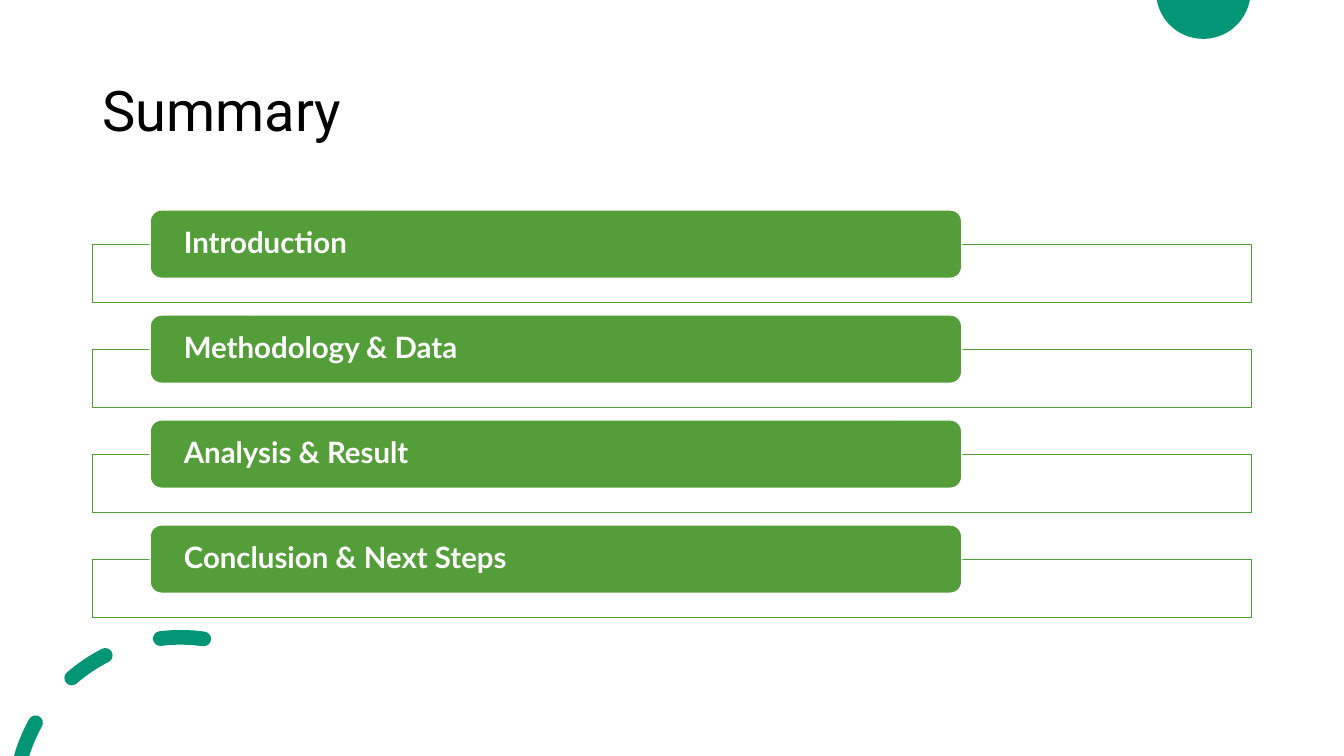
import math

import pptx
import pptx.dml.color
import pptx.enum.shapes
import pptx.enum.text
import pptx.oxml
import pptx.oxml.ns
import pptx.util

TITLE = "Summary"
SECTIONS = ["Introduction", "Methodology & Data", "Analysis & Result", "Conclusion & Next Steps"]

COLORS = {"teal": "029676", "green": "549E39", "white": "FFFFFF", "black": "000000"}
PX = 9525
WIDTH, HEIGHT = 1280, 720

TITLE_BOX = (88, 38, 1104, 139)
FRAME_BOX = (88, 233, 1104, 55)
BAR_BOX = (143, 200, 773, 65)
ROW_PITCH = 100
BAR_INSET = 29

CIRCLE = {"center": (1146, -8), "radius": 45}
RING = {"center": (172, 765), "radius": 158, "half_width": 7}
CUT_DASH_END = 209
DASHES = [(229, 243), (263, 278)]


def px(value):
    return pptx.util.Emu(round(value * PX))


def rgb(name):
    return pptx.dml.color.RGBColor.from_string(COLORS[name])


def polar(center, radius, degrees):
    angle = math.radians(degrees)
    return center[0] + radius * math.cos(angle), center[1] + radius * math.sin(angle)


def arc(center, radius, start, end):
    step = (end - start) / 2
    handle = 4 / 3 * math.tan(math.radians(step) / 4) * radius
    curves = []
    for first in (start, start + step):
        begin, finish = polar(center, radius, first), polar(center, radius, first + step)
        curves.append((begin, polar(begin, handle, first + 90),
                       polar(finish, -handle, first + step + 90), finish))
    return curves


def crossing(center, radius, edge):
    return math.degrees(math.asin((edge - center[1]) / radius))


def dash_outline(end, start=None):
    center, radius, half = RING["center"], RING["radius"], RING["half_width"]
    outer, inner = radius + half, radius - half
    outer_start = inner_start = start
    if start is None:
        outer_start = 180 - crossing(center, outer, HEIGHT)
        inner_start = 180 - crossing(center, inner, HEIGHT)
    curves = arc(center, outer, outer_start, end)
    curves += arc(polar(center, radius, end), half, end, end + 180)
    curves += arc(center, inner, end, inner_start)
    if start is not None:
        curves += arc(polar(center, radius, start), half, start + 180, start + 360)
    return curves


def add_outline(slide, contours, color):
    builder = None
    for curves in contours:
        x, y = map(px, curves[0][0])
        if builder is None:
            builder = slide.shapes.build_freeform(x, y, scale=1.0)
        else:
            builder.move_to(x, y)
        builder.add_line_segments([tuple(map(px, curve[3])) for curve in curves], close=True)
    shape = builder.convert_to_shape()
    lines = list(shape._element.iter(pptx.oxml.ns.qn("a:lnTo")))
    for line, curve in zip(lines, [curve for curves in contours for curve in curves]):
        points = "".join(f'<a:pt x="{px(x) - shape.left}" y="{px(y) - shape.top}"/>'
                         for x, y in curve[1:])
        bend = pptx.oxml.parse_xml(
            f'<a:cubicBezTo {pptx.oxml.ns.nsdecls("a")}>{points}</a:cubicBezTo>')
        line.getparent().replace(line, bend)
    shape.shadow.inherit = False
    shape.fill.solid()
    shape.fill.fore_color.rgb = rgb(color)
    shape.line.fill.background()


def add_box(slide, kind, box, row, fill, line):
    left, top, width, height = box
    shape = slide.shapes.add_shape(kind, px(left), px(top + row * ROW_PITCH), px(width), px(height))
    shape.shadow.inherit = False
    shape.fill.solid()
    shape.fill.fore_color.rgb = rgb(fill)
    shape.line.color.rgb = rgb(line)
    shape.line.width = pptx.util.Pt(1)
    return shape


def set_opacity(shape, percent):
    color = shape._element.spPr.find(
        pptx.oxml.ns.qn("a:solidFill") + "/" + pptx.oxml.ns.qn("a:srgbClr"))
    color.append(pptx.oxml.parse_xml(
        f'<a:alpha {pptx.oxml.ns.nsdecls("a")} val="{percent * 1000}"/>'))


def write(frame, text, font, size, color, bold=False):
    frame.word_wrap = True
    frame.auto_size = pptx.enum.text.MSO_AUTO_SIZE.NONE
    frame.vertical_anchor = pptx.enum.text.MSO_ANCHOR.MIDDLE
    paragraph = frame.paragraphs[0]
    paragraph.alignment = pptx.enum.text.PP_ALIGN.LEFT
    paragraph.line_spacing = 0.9
    run = paragraph.add_run()
    run.text = text
    run.font.name = font
    run.font.size = pptx.util.Pt(size)
    run.font.bold = bold
    run.font.color.rgb = rgb(color)


def main():
    presentation = pptx.Presentation()
    presentation.slide_width, presentation.slide_height = px(WIDTH), px(HEIGHT)
    slide = presentation.slides.add_slide(presentation.slide_layouts[5])

    edge = crossing(CIRCLE["center"], CIRCLE["radius"], 0)
    add_outline(slide, [arc(CIRCLE["center"], CIRCLE["radius"], edge, 180 - edge)], "teal")
    dashes = [dash_outline(CUT_DASH_END)] + [dash_outline(end, start) for start, end in DASHES]
    add_outline(slide, dashes, "teal")

    title = slide.shapes.title
    title.left, title.top, title.width, title.height = map(px, TITLE_BOX)
    write(title.text_frame, TITLE, "Roboto", 40, "black")

    shapes = pptx.enum.shapes.MSO_SHAPE
    for row, section in enumerate(SECTIONS):
        frame = add_box(slide, shapes.RECTANGLE, FRAME_BOX, row, "white", "green")
        set_opacity(frame, 90)
        bar = add_box(slide, shapes.ROUNDED_RECTANGLE, BAR_BOX, row, "green", "white")
        text_frame = bar.text_frame
        text_frame.margin_left = text_frame.margin_right = px(BAR_INSET)
        text_frame.margin_top = text_frame.margin_bottom = 0
        write(text_frame, section, "Lato", 21, "white", bold=True)

    presentation.save("out.pptx")


if __name__ == "__main__":
    main()
